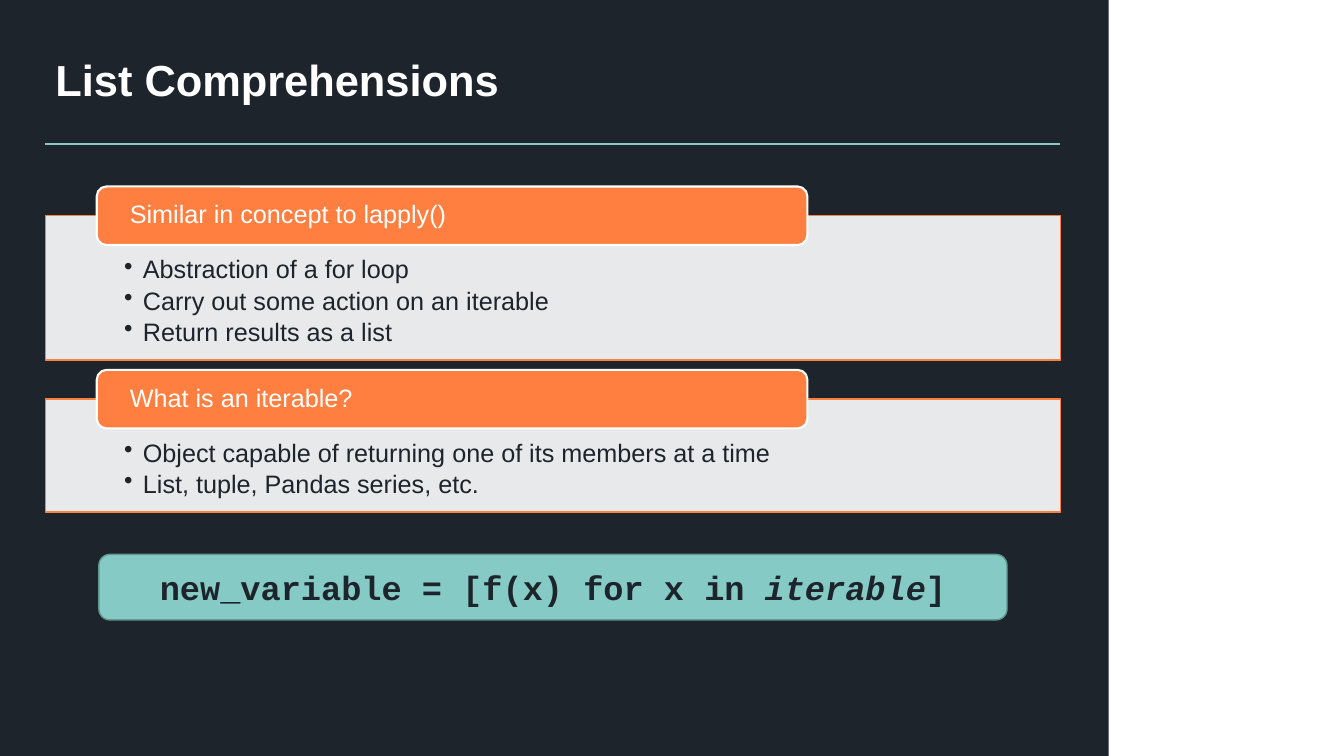
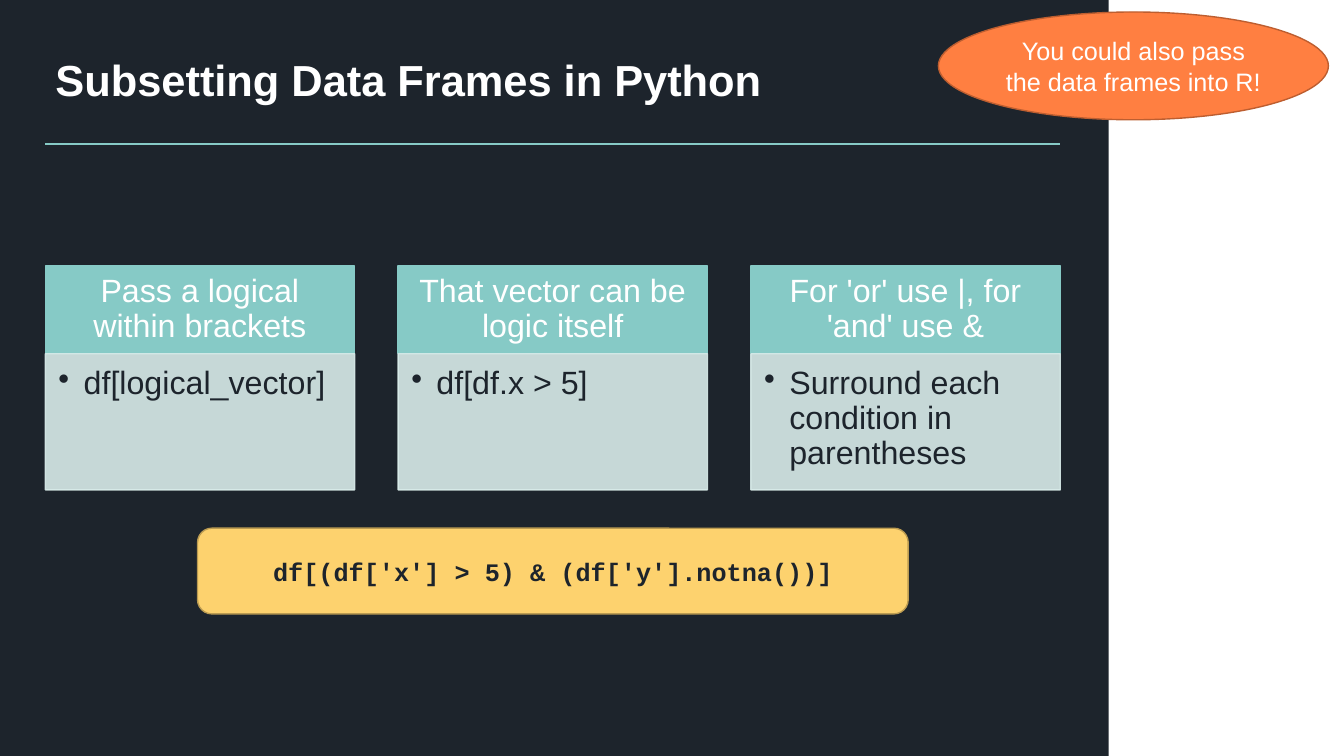
from dataclasses import dataclass
from typing import NamedTuple

from lxml.etree import SubElement
from pptx import Presentation
from pptx.dml.color import RGBColor
from pptx.enum.shapes import MSO_CONNECTOR, MSO_SHAPE
from pptx.enum.text import MSO_ANCHOR, MSO_AUTO_SIZE, PP_ALIGN
from pptx.oxml.ns import qn
from pptx.shapes.autoshape import Shape
from pptx.slide import Slide, SlideLayout
from pptx.util import Pt


@dataclass(frozen=True)
class Theme:
    dark: str = "1D242C"
    white: str = "FFFFFF"
    teal: str = "86CAC6"
    teal_edge: str = "639592"
    pale_teal: str = "D9ECEA"
    orange: str = "FF7F41"
    orange_edge: str = "BD5E30"
    yellow: str = "FDD26E"
    yellow_edge: str = "BB9B51"
    sans: str = "Arial"
    mono: str = "Courier New"
    title_size: float = 31
    column_size: float = 23
    code_size: float = 24
    text_size: float = 18
    tight: float = 0.9
    opacity: int = 90


class Box(NamedTuple):
    left: float
    top: float
    width: float
    height: float


class Margins(NamedTuple):
    left: float = 7.2
    top: float = 3.6
    right: float = 7.2
    bottom: float = 3.6


class Span(NamedTuple):
    text: str
    italic: bool = False


@dataclass(frozen=True)
class Look:
    fill: str
    edge: str
    edge_width: float = 1
    kind: MSO_SHAPE = MSO_SHAPE.RECTANGLE
    fill_faded: bool = False
    edge_faded: bool = False


@dataclass(frozen=True)
class TextStyle:
    size: float
    color: str
    font: str
    bold: bool = False
    align: PP_ALIGN = PP_ALIGN.LEFT
    anchor: MSO_ANCHOR = MSO_ANCHOR.MIDDLE
    margins: Margins = Margins()
    line_spacing: float = 1
    space_after: float = 0
    bullet_indent: float = 0


class Section(NamedTuple):
    heading: str
    points: tuple[str, ...]


THEME = Theme()
PAGE_WIDTH, PAGE_HEIGHT = 960, 540
BAND_WIDTH = 792
CONTENT_LEFT, CONTENT_WIDTH = 32.4, 725
RULE_TOP = 103

TITLE_BOX = Box(CONTENT_LEFT, 38.2, CONTENT_WIDTH, 41.8)
TITLE = TextStyle(THEME.title_size, THEME.white, THEME.sans, bold=True, line_spacing=THEME.tight)

PANEL = Look(THEME.white, THEME.orange, fill_faded=True)
PANEL_TEXT = TextStyle(
    THEME.text_size, THEME.dark, THEME.sans, anchor=MSO_ANCHOR.TOP,
    margins=Margins(56.2, 29.5, 56.2, 10), line_spacing=THEME.tight,
    space_after=3, bullet_indent=13.5,
)
TAB = Look(THEME.orange, THEME.white, 1.5, MSO_SHAPE.ROUNDED_RECTANGLE)
TAB_TEXT = TextStyle(
    THEME.text_size, THEME.white, THEME.sans,
    margins=Margins(21.6, 0, 21.6, 0), line_spacing=THEME.tight,
)
COLUMN_HEAD = Look(THEME.teal, THEME.teal)
COLUMN_HEAD_TEXT = TextStyle(
    THEME.column_size, THEME.white, THEME.sans, align=PP_ALIGN.CENTER,
    margins=Margins(13, 7.2, 13, 7.2), line_spacing=THEME.tight,
)
COLUMN_BODY = Look(THEME.pale_teal, THEME.pale_teal, fill_faded=True, edge_faded=True)
COLUMN_BODY_TEXT = TextStyle(
    THEME.column_size, THEME.dark, THEME.sans, anchor=MSO_ANCHOR.TOP,
    margins=Margins(9.4, 9.4, 13, 14.4), line_spacing=THEME.tight,
    space_after=4, bullet_indent=18,
)

LIST_SECTIONS = (
    Section("Similar in concept to lapply()", (
        "Abstraction of a for loop",
        "Carry out some action on an iterable",
        "Return results as a list",
    )),
    Section("What is an iterable?", (
        "Object capable of returning one of its members at a time",
        "List, tuple, Pandas series, etc.",
    )),
)
SUBSET_SECTIONS = (
    Section("Pass a logical within brackets", ("df[logical_vector]",)),
    Section("That vector can be logic itself", ("df[df.x > 5]",)),
    Section("For 'or' use |, for 'and' use &", ("Surround each condition in parentheses",)),
)


def color(value: str) -> RGBColor:
    return RGBColor.from_string(value)


def fade(shape: Shape, route: str) -> None:
    for tint in shape.element.spPr.xpath(route):
        SubElement(tint, qn("a:alpha"), val=str(THEME.opacity * 1000))


def draw_shape(page: Slide, box: Box, look: Look) -> Shape:
    shape = page.shapes.add_shape(look.kind, *map(Pt, box))
    shape.shadow.inherit = False
    shape.fill.solid()
    shape.fill.fore_color.rgb = color(look.fill)
    shape.line.color.rgb = color(look.edge)
    shape.line.width = Pt(look.edge_width)
    if look.fill_faded:
        fade(shape, "a:solidFill/a:srgbClr")
    if look.edge_faded:
        fade(shape, "a:ln/a:solidFill/a:srgbClr")
    return shape


def write(shape: Shape, paragraphs: tuple[tuple[Span, ...], ...], style: TextStyle) -> None:
    frame = shape.text_frame
    frame.word_wrap = True
    frame.auto_size = MSO_AUTO_SIZE.NONE
    frame.vertical_anchor = style.anchor
    frame.margin_left, frame.margin_top, frame.margin_right, frame.margin_bottom = map(Pt, style.margins)
    for index, spans in enumerate(paragraphs):
        para = frame.add_paragraph() if index else frame.paragraphs[0]
        para.alignment = style.align
        para.line_spacing = style.line_spacing
        para.space_after = Pt(style.space_after)
        if style.bullet_indent:
            properties = para._p.get_or_add_pPr()
            properties.set("marL", str(Pt(style.bullet_indent)))
            properties.set("indent", str(-Pt(style.bullet_indent)))
            SubElement(properties, qn("a:buChar"), char="•")
        para.font.name = style.font
        para.font.size = Pt(style.size)
        para.font.bold = style.bold
        para.font.color.rgb = color(style.color)
        for span in spans:
            run = para.add_run()
            run.text = span.text
            if span.italic:
                run.font.italic = True


def draw_text(page: Slide, box: Box, look: Look, style: TextStyle, *texts: str) -> None:
    write(draw_shape(page, box, look), tuple((Span(text),) for text in texts), style)


def draw_code(page: Slide, box: Box, fill: str, edge: str, size: float, *spans: Span) -> None:
    shape = draw_shape(page, box, Look(fill, edge, kind=MSO_SHAPE.ROUNDED_RECTANGLE))
    style = TextStyle(size, THEME.dark, THEME.mono, bold=True, align=PP_ALIGN.CENTER)
    write(shape, (spans,), style)


def draw_backdrop(page: Slide) -> None:
    draw_shape(page, Box(0, 0, BAND_WIDTH, PAGE_HEIGHT), Look(THEME.dark, THEME.dark)).line.fill.background()
    rule = page.shapes.add_connector(
        MSO_CONNECTOR.STRAIGHT, Pt(CONTENT_LEFT), Pt(RULE_TOP),
        Pt(CONTENT_LEFT + CONTENT_WIDTH), Pt(RULE_TOP),
    )
    rule.line.color.rgb = color(THEME.teal)
    rule.line.width = Pt(1)
    SubElement(rule._element.spPr, qn("a:effectLst"))


def add_page(deck: Presentation, layout: SlideLayout, heading: str) -> Slide:
    page = deck.slides.add_slide(layout)
    draw_backdrop(page)
    title = page.shapes.title
    page.shapes._spTree.append(title._element)
    title.left, title.top, title.width, title.height = map(Pt, TITLE_BOX)
    write(title, ((Span(heading),),), TITLE)
    return page


def draw_panels(page: Slide, sections: tuple[Section, ...]) -> None:
    top, gap, base_height, line_height = 154.1, 28, 35.8, 22.4
    for section in sections:
        height = base_height + line_height * len(section.points)
        draw_text(page, Box(CONTENT_LEFT, top, CONTENT_WIDTH, height), PANEL, PANEL_TEXT, *section.points)
        draw_text(page, Box(CONTENT_LEFT + 36.7, top - 20.9, 507.6, 41.8), TAB, TAB_TEXT, section.heading)
        top += height + gap


def draw_columns(page: Slide, sections: tuple[Section, ...]) -> None:
    top, width, head_height, body_height = 190.1, 221, 62.6, 97.2
    step = (CONTENT_WIDTH - width) / (len(sections) - 1)
    for index, section in enumerate(sections):
        left = CONTENT_LEFT + index * step
        draw_text(page, Box(left, top, width, head_height), COLUMN_HEAD, COLUMN_HEAD_TEXT, section.heading)
        body = Box(left, top + head_height, width, body_height)
        draw_text(page, body, COLUMN_BODY, COLUMN_BODY_TEXT, *section.points)


def main() -> None:
    deck = Presentation()
    deck.slide_width, deck.slide_height = Pt(PAGE_WIDTH), Pt(PAGE_HEIGHT)
    layout = deck.slide_layouts.get_by_name("Title Only")

    page = add_page(deck, layout, "List Comprehensions")
    draw_panels(page, LIST_SECTIONS)
    draw_code(
        page, Box(70.6, 396, 648.7, 46.8), THEME.teal, THEME.teal_edge, THEME.code_size,
        Span("new_variable = [f(x) for x in "), Span("iterable", italic=True), Span("]"),
    )

    page = add_page(deck, layout, "Subsetting Data Frames in Python")
    draw_columns(page, SUBSET_SECTIONS)
    draw_code(
        page, Box(141.1, 377.3, 507.6, 61.2), THEME.yellow, THEME.yellow_edge, THEME.text_size,
        Span("df[(df['x'] > 5) & (df['y'].notna())]"),
    )
    draw_text(
        page, Box(670.3, 8.6, 278.6, 77), Look(THEME.orange, THEME.orange_edge, kind=MSO_SHAPE.OVAL),
        TextStyle(THEME.text_size, THEME.white, THEME.sans, align=PP_ALIGN.CENTER),
        "You could also pass the data frames into R!",
    )
    deck.save("out.pptx")


if __name__ == "__main__":
    main()
